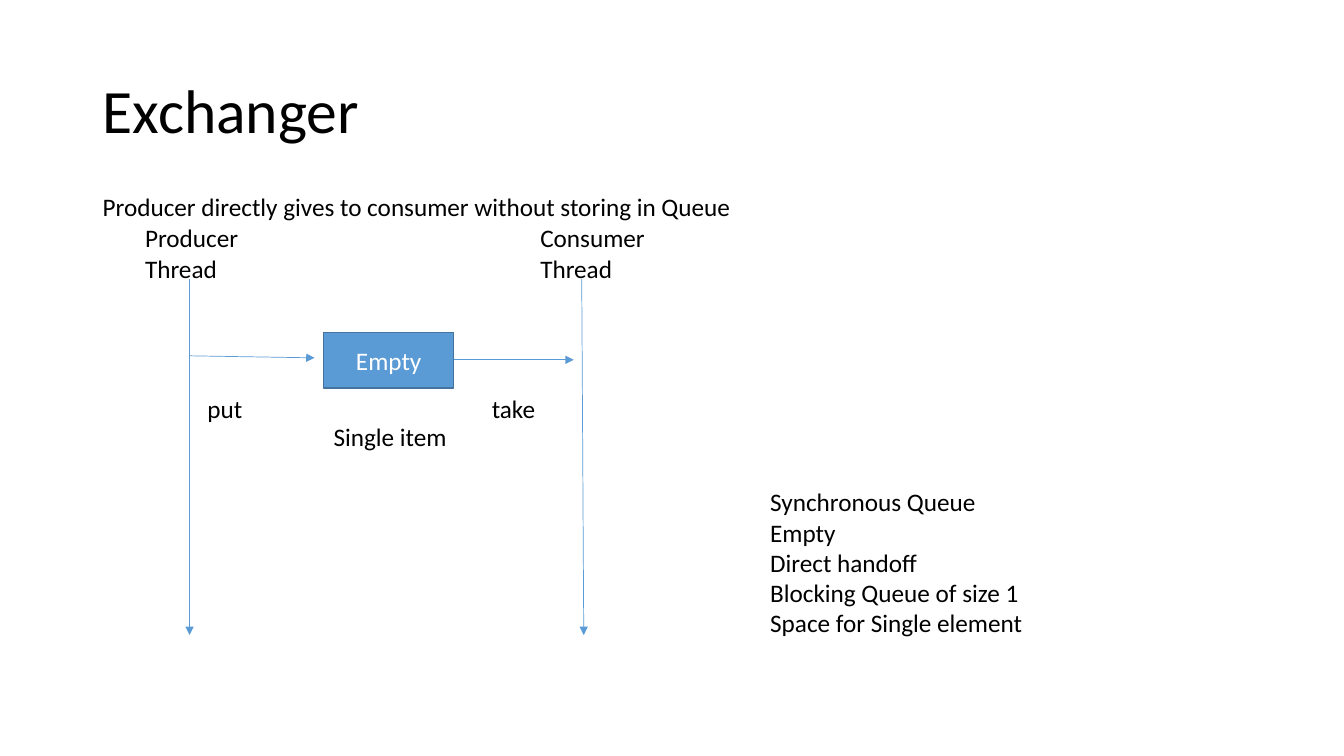
from dataclasses import dataclass

from lxml.etree import SubElement
from pptx import Presentation
from pptx.dml.color import RGBColor
from pptx.enum.shapes import MSO_CONNECTOR, MSO_SHAPE
from pptx.enum.text import MSO_ANCHOR, PP_ALIGN
from pptx.oxml.ns import qn
from pptx.util import Inches, Pt


@dataclass(frozen=True)
class Theme:
    """Colours, font and type sizes of the slide."""
    font: str = "Calibri"
    title_size: int = 44
    body_size: int = 18
    text: RGBColor = RGBColor(0x00, 0x00, 0x00)
    on_accent: RGBColor = RGBColor(0xFF, 0xFF, 0xFF)
    accent: RGBColor = RGBColor(0x5B, 0x9B, 0xD5)
    outline: RGBColor = RGBColor(0x43, 0x73, 0x9E)


theme = Theme()


def write(frame, lines, size=theme.body_size, color=theme.text):
    """Fill a text frame with one paragraph per line."""
    for index, line in enumerate(lines):
        paragraph = frame.paragraphs[0] if index == 0 else frame.add_paragraph()
        run = paragraph.add_run()
        run.text = line
        run.font.name = theme.font
        run.font.size = Pt(size)
        run.font.color.rgb = color


def add_arrow(slide, start, end):
    """Draw a thin arrow between two points given in inches."""
    arrow = slide.shapes.add_connector(
        MSO_CONNECTOR.STRAIGHT, *map(Inches, start + end))
    arrow.line.color.rgb = theme.accent
    arrow.line.width = Pt(0.5)
    SubElement(arrow.line._get_or_add_ln(), qn("a:tailEnd"), type="triangle")
    SubElement(arrow._element.spPr, qn("a:effectLst"))


presentation = Presentation()
presentation.slide_width = Inches(13.33)
presentation.slide_height = Inches(7.5)
slide = presentation.slides.add_slide(presentation.slide_layouts[6])

# Title
title = slide.shapes.add_textbox(
    Inches(0.92), Inches(0.4), Inches(11.5), Inches(1.45)).text_frame
title.word_wrap = True
title.vertical_anchor = MSO_ANCHOR.MIDDLE
write(title, ["Exchanger"], theme.title_size)
title.paragraphs[0].line_spacing = 0.9

# Thread timelines, then the put and take steps
thread_top, thread_bottom = 2.77, 6.3
for start, end in [
    ((1.88, thread_top), (1.88, thread_bottom)),
    ((5.77, thread_top), (5.79, thread_bottom)),
    ((1.88, 3.53), (3.12, 3.55)),
    ((4.5, 3.57), (5.69, 3.57)),
]:
    add_arrow(slide, start, end)

# The single slot between the threads
slot = slide.shapes.add_shape(
    MSO_SHAPE.RECTANGLE, Inches(3.21), Inches(3.3), Inches(1.29), Inches(0.55))
slot.shadow.inherit = False
slot.fill.solid()
slot.fill.fore_color.rgb = theme.accent
slot.line.color.rgb = theme.outline
slot.line.width = Pt(1)
slot.text_frame.vertical_anchor = MSO_ANCHOR.MIDDLE
write(slot.text_frame, ["Empty"], color=theme.on_accent)
slot.text_frame.paragraphs[0].alignment = PP_ALIGN.CENTER

# Labels and notes: left, top, width, height, lines
for left, top, width, height, lines in [
    (0.92, 1.85, 6.5, 0.4,
     ["Producer directly gives to consumer without storing in Queue"]),
    (1.34, 2.16, 1.78, 0.71, ["Producer Thread"]),
    (5.26, 2.16, 1.58, 0.71, ["Consumer Thread"]),
    (1.96, 3.85, 1.03, 0.4, ["put"]),
    (4.78, 3.85, 0.9, 0.4, ["take"]),
    (3.21, 4.13, 1.57, 0.4, ["Single item"]),
    (7.54, 4.78, 4.29, 1.62,
     ["Synchronous Queue", "Empty", "Direct handoff",
      "Blocking Queue of size 1", "Space for Single element"]),
]:
    label = slide.shapes.add_textbox(
        Inches(left), Inches(top), Inches(width), Inches(height)).text_frame
    label.word_wrap = True
    write(label, lines)

presentation.save("out.pptx")
